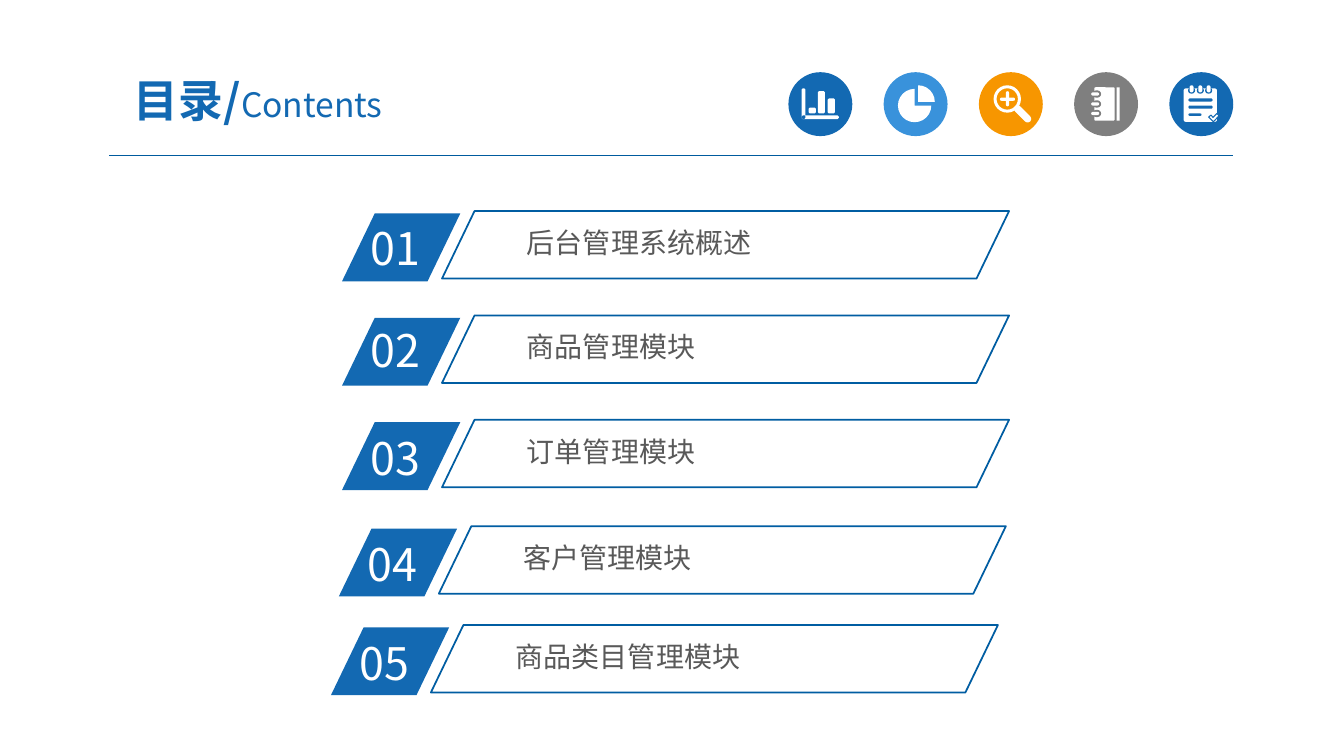
import pptx
import pptx.util
import pptx.dml.color
import pptx.enum.shapes
import pptx.enum.text
import pptx.oxml.ns
from lxml import etree

Cm = pptx.util.Cm
Pt = pptx.util.Pt
MSO = pptx.enum.shapes.MSO_SHAPE
FIT = pptx.enum.text.MSO_AUTO_SIZE
PP = pptx.enum.text.PP_ALIGN
ANCHOR = pptx.enum.text.MSO_ANCHOR

FONT = "Noto Sans CJK SC"
BLUE, SKY, ORANGE, GREY = "1369B2", "3992DB", "F79600", "7F7F7F"
WHITE, OUTLINE, RULE, TEXT = "FFFFFF", "005DA2", "005B9E", "595959"

TITLE = [("目录/", 32, True), ("Contents", 24, False)]
ROWS = [
    ("01", "后台管理系统概述", 8.62, 5.32, 5.44),
    ("02", "商品管理模块", 8.62, 7.95, 8.0),
    ("03", "订单管理模块", 8.62, 10.58, 10.72),
    ("04", "客户管理模块", 8.54, 13.26, 13.39),
    ("05", "商品类目管理模块", 8.34, 15.75, 15.9),
]

BAR, RECT, DISC = MSO.ROUNDED_RECTANGLE, MSO.RECTANGLE, MSO.OVAL
CHART_BARS = [
    (0.33, 0.41, 0.1, 0.77),
    (0.33, 1.09, 0.94, 0.09),
    (0.51, 0.89, 0.18, 0.15),
    (0.74, 0.48, 0.18, 0.56),
    (0.99, 0.66, 0.18, 0.38),
]
pie = [
    (MSO.PIE, WHITE, (0.36, 0.42, 0.84, 0.84), [0, 162], 0),
    (MSO.PIE, WHITE, (0.45, 0.33, 0.84, 0.84), [162, 0], 0),
]
magnifier = [
    (MSO.DONUT, WHITE, (0.37, 0.33, 0.69, 0.69), [0.11], 0),
    (BAR, WHITE, (0.53, 0.64, 0.38, 0.08), [0.5], 0),
    (BAR, WHITE, (0.68, 0.48, 0.08, 0.38), [0.5], 0),
    (BAR, WHITE, (0.83, 0.96, 0.54, 0.18), [0.5], 45),
]
notebook = [
    (BAR, WHITE, (0.51, 0.38, 0.51, 0.84), [0.06], 0),
    (RECT, WHITE, (1.07, 0.38, 0.08, 0.84), [], 0),
]
for y in (0.55, 0.8, 1.04):
    notebook += [
        (BAR, GREY, (0.46, y - 0.09, 0.22, 0.18), [0.5], 0),
        (BAR, WHITE, (0.43, y - 0.04, 0.2, 0.08), [0.5], 0),
    ]
notepad = [
    (BAR, WHITE, (0.36, 0.41, 0.84, 0.84), [0.06], 0),
    (BAR, BLUE, (0.48, 0.66, 0.61, 0.08), [0.5], 0),
    (BAR, BLUE, (0.48, 0.84, 0.61, 0.08), [0.5], 0),
    (BAR, BLUE, (0.48, 1.04, 0.33, 0.06), [0.5], 0),
]
for x in (0.56, 0.78, 0.99):
    notepad += [
        (BAR, BLUE, (x - 0.09, 0.38, 0.18, 0.16), [0.5], 0),
        (BAR, WHITE, (x - 0.05, 0.33, 0.1, 0.18), [0.5], 0),
    ]
CHECK = [(0.99, 1.13), (1.05, 1.08), (1.1, 1.14), (1.2, 1.04), (1.25, 1.1), (1.11, 1.25)]
ICONS = [(BLUE, []), (SKY, pie), (ORANGE, magnifier), (GREY, notebook), (BLUE, notepad)]
ICON_LEFT, ICON_TOP, ICON_STEP, ICON_SIZE = 19.87, 1.82, 2.4, 1.61


def rgb(value):
    return pptx.dml.color.RGBColor.from_string(value)


def paint(sp, fill=None, line=None, width=1.25):
    sp.shadow.inherit = False
    if fill:
        sp.fill.solid()
        sp.fill.fore_color.rgb = rgb(fill)
    else:
        sp.fill.background()
    if line:
        sp.line.color.rgb = rgb(line)
        sp.line.width = Pt(width)
    else:
        sp.line.fill.background()


def add_preset(s, kind, box, fill=None, line=None, adjust=(), turn=0):
    sp = s.shapes.add_shape(kind, *[Cm(v) for v in box])
    for i, value in enumerate(adjust):
        sp.adjustments[i] = value
    sp.rotation = turn
    paint(sp, fill, line)


def add_outline(s, left, contours, fill, line=None):
    placed = [[(Cm(left + x), Cm(ICON_TOP + y)) for x, y in c] for c in contours]
    outline = s.shapes.build_freeform(*placed[0][0])
    for i, points in enumerate(placed):
        if i:
            outline.move_to(*points[0])
        outline.add_line_segments(points[1:], close=True)
    paint(outline.convert_to_shape(), fill, line, 0.75)


def bevel(x, y, w, h, c=0.03):
    r, b = x + w, y + h
    return [(x + c, y), (r - c, y), (r, y + c), (r, b - c),
            (r - c, b), (x + c, b), (x, b - c), (x, y + c)]


def add_text(s, box, runs, color, inset=(0.25, 0.13)):
    sp = s.shapes.add_textbox(*[Cm(v) for v in box])
    tf = sp.text_frame
    tf.word_wrap = True
    tf.margin_left = tf.margin_right = Cm(inset[0])
    tf.margin_top = tf.margin_bottom = Cm(inset[1])
    p = tf.paragraphs[0]
    for text, size, bold in runs:
        r = p.add_run()
        r.text = text
        r.font.size = Pt(size)
        r.font.bold = bold
        r.font.color.rgb = rgb(color)
        r.font.name = FONT
        ea = etree.SubElement(r.font._element, pptx.oxml.ns.qn("a:ea"))
        ea.set("typeface", FONT)
    return tf


def add_header(s):
    rule = s.shapes.add_connector(
        pptx.enum.shapes.MSO_CONNECTOR.STRAIGHT, Cm(2.75), Cm(3.93), Cm(31.07), Cm(3.93))
    rule.line.color.rgb = rgb(RULE)
    rule.line.width = Pt(0.75)
    etree.SubElement(rule._element.spPr, pptx.oxml.ns.qn("a:effectLst"))
    for i, (color, parts) in enumerate(ICONS):
        left = ICON_LEFT + i * ICON_STEP
        add_preset(s, DISC, (left, ICON_TOP, ICON_SIZE, ICON_SIZE), color)
        for kind, fill, (x, y, w, h), adjust, turn in parts:
            add_preset(s, kind, (left + x, ICON_TOP + y, w, h), fill, None, adjust, turn)
    add_outline(s, ICON_LEFT, [bevel(*bar) for bar in CHART_BARS], WHITE)
    add_outline(s, left, [CHECK], WHITE, BLUE)
    tf = add_text(s, (2.33, 1.6, 8.36, 1.83), TITLE, BLUE, (0.33, 0.18))
    tf.vertical_anchor = ANCHOR.MIDDLE
    tf.paragraphs[0].alignment = PP.CENTER


def add_row(s, number, label, left, top, number_top):
    add_preset(s, MSO.PARALLELOGRAM, (left, top + 0.06, 2.98, 1.71), BLUE, None, [0.482])
    tf = add_text(s, (left + 0.48, number_top, 2.84, 1.63), [(number, 32, False)], WHITE)
    tf.auto_size = FIT.SHAPE_TO_FIT_TEXT
    tf = add_text(s, (left + 4.48, top + 0.26, 10.46, 1.04), [(label, 20, False)], TEXT, (0.18, 0.1))
    tf.auto_size = FIT.SHAPE_TO_FIT_TEXT
    add_preset(s, MSO.PARALLELOGRAM, (left + 2.52, top, 14.29, 1.7), None, OUTLINE, [0.482])


def main():
    prs = pptx.Presentation()
    prs.slide_width, prs.slide_height = Cm(33.87), Cm(19.05)
    s = prs.slides.add_slide(prs.slide_layouts[6])
    add_header(s)
    for row in ROWS:
        add_row(s, *row)
    prs.save("out.pptx")


if __name__ == "__main__":
    main()
